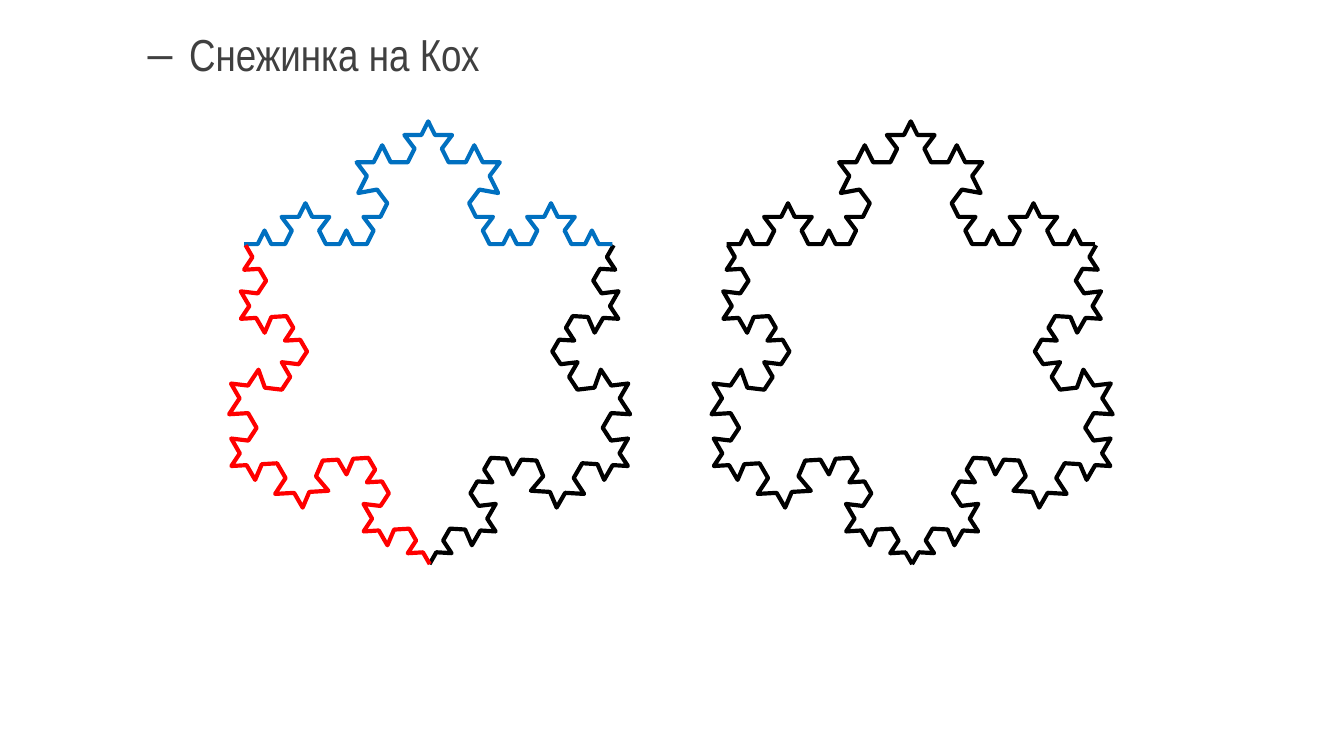
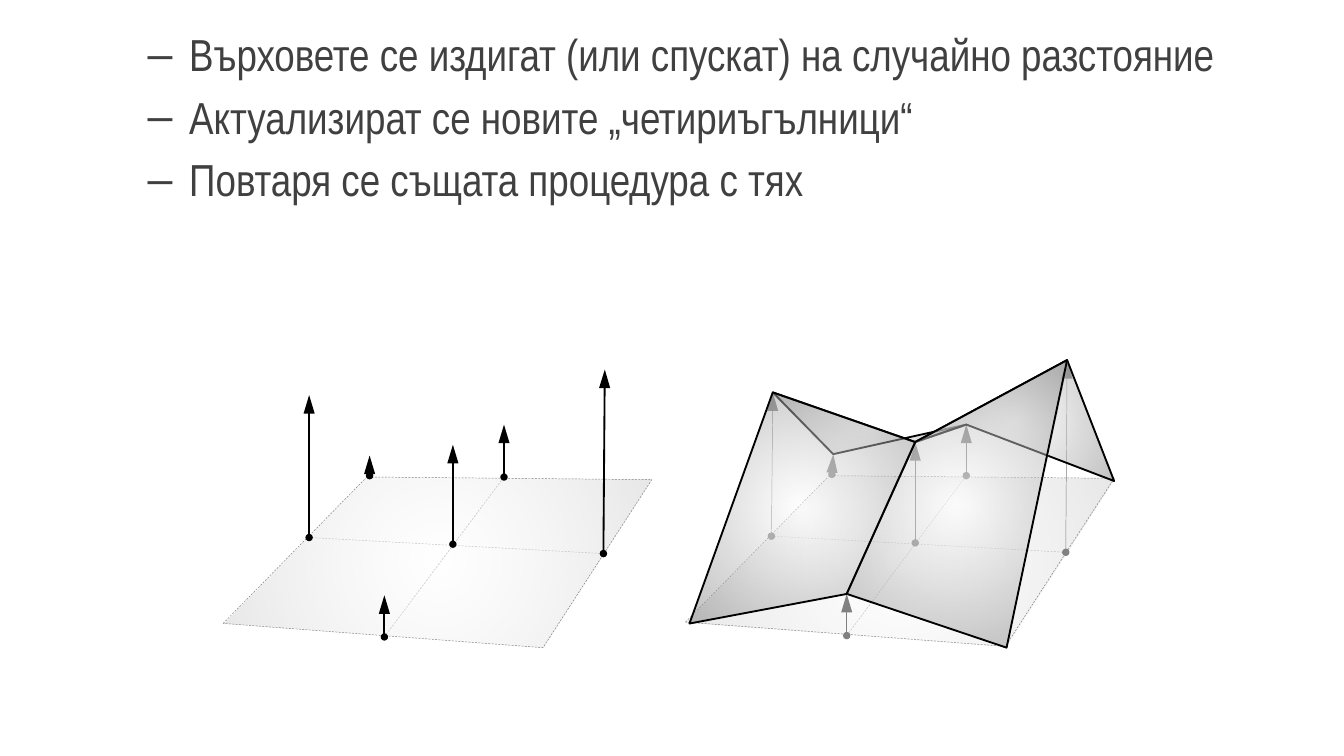
from pptx import Presentation
from pptx import util as u
from pptx.dml.color import RGBColor
from pptx.enum import dml, shapes
from pptx.oxml import parse_xml
from pptx.oxml.ns import nsdecls, qn
from lxml import etree

COLORS = {
    "text": "404040",
    "black": "000000",
    "blue": "0070C0",
    "red": "FF0000",
    "gray": "808080",
    "pale": "BFBFBF",
    "white": "FFFFFF",
}
FONT = "Arial Narrow"
BULLET_FONT = "Arial"

KOCH_LENGTH = 2.74
KOCH_DEPTH = 3
KOCH_LIFT = 1 / 3
SIDE_PLACES = [(3.82, 1.87, 30), (2.73, -0.01, 270), (1.66, 1.87, 150)]
SNOWFLAKE_STEP = 3.59

PLANE = [(1.66, 4.64), (2.73, 3.55), (4.85, 3.57), (4.04, 4.82)]
PLANE_STEP = (3.44, -0.01)
FEET = {
    "back left": (2.75, 3.54),
    "back": (3.75, 3.55),
    "west": (2.3, 4),
    "east": (4.49, 4.12),
    "centre": (3.37, 4.05),
    "front": (2.86, 4.74),
}
TIPS = {
    "back left": (2.75, 3.39),
    "back": (3.75, 3.16),
    "west": (2.3, 2.94),
    "east": (4.5, 2.75),
    "centre": (3.37, 3.31),
    "front": (2.86, 4.43),
}
MIDLINES = [("east", "west"), ("front", "back")]
SURFACE = {
    "back left": (6.2, 3.38),
    "back": (7.19, 3.16),
    "back right": (8.29, 3.58),
    "west": (5.75, 2.92),
    "centre": (6.81, 3.29),
    "east": (7.94, 2.68),
    "front left": (5.13, 4.64),
    "front": (6.3, 4.42),
    "front right": (7.49, 4.82),
}
FACETS = [
    ("centre", "west", "back left", "back"),
    ("east", "centre", "back", "back right"),
    ("east", "centre", "front", "front right"),
    ("centre", "west", "front left", "front"),
]


def inch(value):
    """Convert inches to a length given in centimetres."""
    return u.Cm(value * 2.54)


def shift(point, step):
    """Move a point by a step."""
    return point[0] + step[0], point[1] + step[1]


def koch(start, end, depth):
    """Return the points of a Koch curve, without its last one."""
    if depth == 0:
        return [start]
    dx, dy = end[0] - start[0], end[1] - start[1]
    first_third = shift(start, (dx / 3, dy / 3))
    second_third = shift(start, (dx * 2 / 3, dy * 2 / 3))
    peak = shift(start, (dx / 2 + dy * KOCH_LIFT, dy / 2 - dx * KOCH_LIFT))
    corners = [start, first_third, peak, second_third, end]
    return [point for a, b in zip(corners, corners[1:]) for point in koch(a, b, depth - 1)]


def style_line(line, color, width, dashed=False):
    """Set colour, width and dash of a line."""
    line.color.rgb = RGBColor.from_string(COLORS[color])
    line.width = u.Pt(width)
    if dashed:
        line.dash_style = dml.MSO_LINE.DASH


def add_outline(parent, points, left=0, top=0, closed=False):
    """Draw an outline through points given in inches."""
    lengths = [(inch(x), inch(y)) for x, y in points]
    builder = parent.shapes.build_freeform(*lengths[0])
    builder.add_line_segments(lengths[1:], close=closed)
    outline = builder.convert_to_shape(inch(left), inch(top))
    outline.shadow.inherit = False
    return outline


def add_snowflake(parent, dx, side_colors):
    """Draw a snowflake from three turned copies of one Koch curve."""
    start, end = (0, 0), (0, KOCH_LENGTH)
    curve = koch(start, end, KOCH_DEPTH) + [end]
    for (left, top, angle), color in zip(SIDE_PLACES, side_colors):
        side = add_outline(parent, curve, left + dx, top)
        side.rotation = angle
        side.fill.background()
        style_line(side.line, color, 2.25)


def add_glass(parent, corners, opacities, color, width, dashed=False):
    """Draw a translucent polygon that darkens from its centre."""
    glass = add_outline(parent, corners, closed=True)
    stops = "".join(
        f'<a:gs pos="{pos}"><a:srgbClr val="{COLORS[tone]}">'
        f'<a:alpha val="{opacity * 1000}"/></a:srgbClr></a:gs>'
        for pos, tone, opacity in zip((0, 100000), ("white", "gray"), opacities))
    gradient = parse_xml(
        f'<a:gradFill {nsdecls("a")} rotWithShape="1"><a:gsLst>{stops}</a:gsLst>'
        '<a:path path="circle"><a:fillToRect l="50000" t="50000" r="50000" b="50000"/>'
        '</a:path></a:gradFill>')
    glass._element.spPr.find(qn("a:custGeom")).addnext(gradient)
    style_line(glass.line, color, width, dashed)


def add_line(parent, start, end, color, width, dashed=False):
    """Draw a straight line and return it."""
    line = parent.shapes.add_connector(
        shapes.MSO_CONNECTOR.STRAIGHT, *(inch(v) for v in (*start, *end)))
    style_line(line.line, color, width, dashed)
    etree.SubElement(line._element.spPr, qn("a:effectLst"))
    return line


def add_rise(parent, foot, tip, color, width):
    """Draw an arrow that lifts a vertex from its round foot."""
    rise = add_line(parent, foot, tip, color, width)
    outline = rise._element.spPr.find(qn("a:ln"))
    etree.SubElement(outline, qn("a:headEnd"), type="oval", w="sm", len="sm")
    etree.SubElement(outline, qn("a:tailEnd"), type="triangle", w="med", len="lg")


def add_plane(parent, step=(0, 0)):
    """Draw the flat quadrilateral with its two midlines."""
    add_glass(parent, [shift(corner, step) for corner in PLANE], (13, 19), "gray", 0.25, True)
    for start, end in MIDLINES:
        add_line(parent, shift(FEET[start], step), shift(FEET[end], step), "pale", 0.25, True)


def add_bullets(slide, items):
    """Write the dashed list at the top of a slide."""
    body = slide.shapes.add_textbox(inch(0.5), inch(0.15), inch(9.5), inch(5.33)).text_frame
    body.word_wrap = True
    for index, item in enumerate(items):
        entry = body.add_paragraph() if index else body.paragraphs[0]
        properties = entry._p.get_or_add_pPr()
        properties.set("marL", str(inch(0.81)))
        properties.set("indent", str(inch(-0.31)))
        etree.SubElement(properties, qn("a:buFont"), typeface=BULLET_FONT)
        etree.SubElement(properties, qn("a:buChar"), char="–")
        if index:
            entry.space_before = u.Pt(4.8)
        words = entry.add_run()
        words.text = item
        words.font.name = FONT
        words.font.size = u.Pt(24)
        words.font.color.rgb = RGBColor.from_string(COLORS["text"])


def build_snowflakes(slide):
    """Fill the Koch snowflake slide."""
    add_bullets(slide, ["Снежинка на Кох"])
    flakes = slide.shapes.add_group_shape()
    add_snowflake(flakes, 0, ("black", "blue", "red"))
    add_snowflake(flakes, SNOWFLAKE_STEP, ("black",) * 3)


def build_terrain(slide):
    """Fill the slide about raising the vertices."""
    raised = slide.shapes.add_group_shape()
    add_plane(raised, PLANE_STEP)
    for vertex, foot in FEET.items():
        add_rise(raised, shift(foot, PLANE_STEP), SURFACE[vertex], "gray", 0.25)
    add_plane(slide.shapes.add_group_shape())
    add_bullets(slide, [
        "Върховете се издигат (или спускат) на случайно разстояние",
        "Актуализират се новите „четириъгълници“",
        "Повтаря се същата процедура с тях",
    ])
    for facet in FACETS:
        add_glass(slide, [SURFACE[vertex] for vertex in facet], (48, 50), "black", 1)
    for vertex, foot in FEET.items():
        add_rise(slide, foot, TIPS[vertex], "black", 1)


def main():
    """Build both slides and save them."""
    deck = Presentation()
    deck.slide_width, deck.slide_height = u.Cm(25.4), u.Cm(14.29)
    for build in (build_snowflakes, build_terrain):
        build(deck.slides.add_slide(deck.slide_layouts[6]))
    deck.save("out.pptx")


if __name__ == "__main__":
    main()
